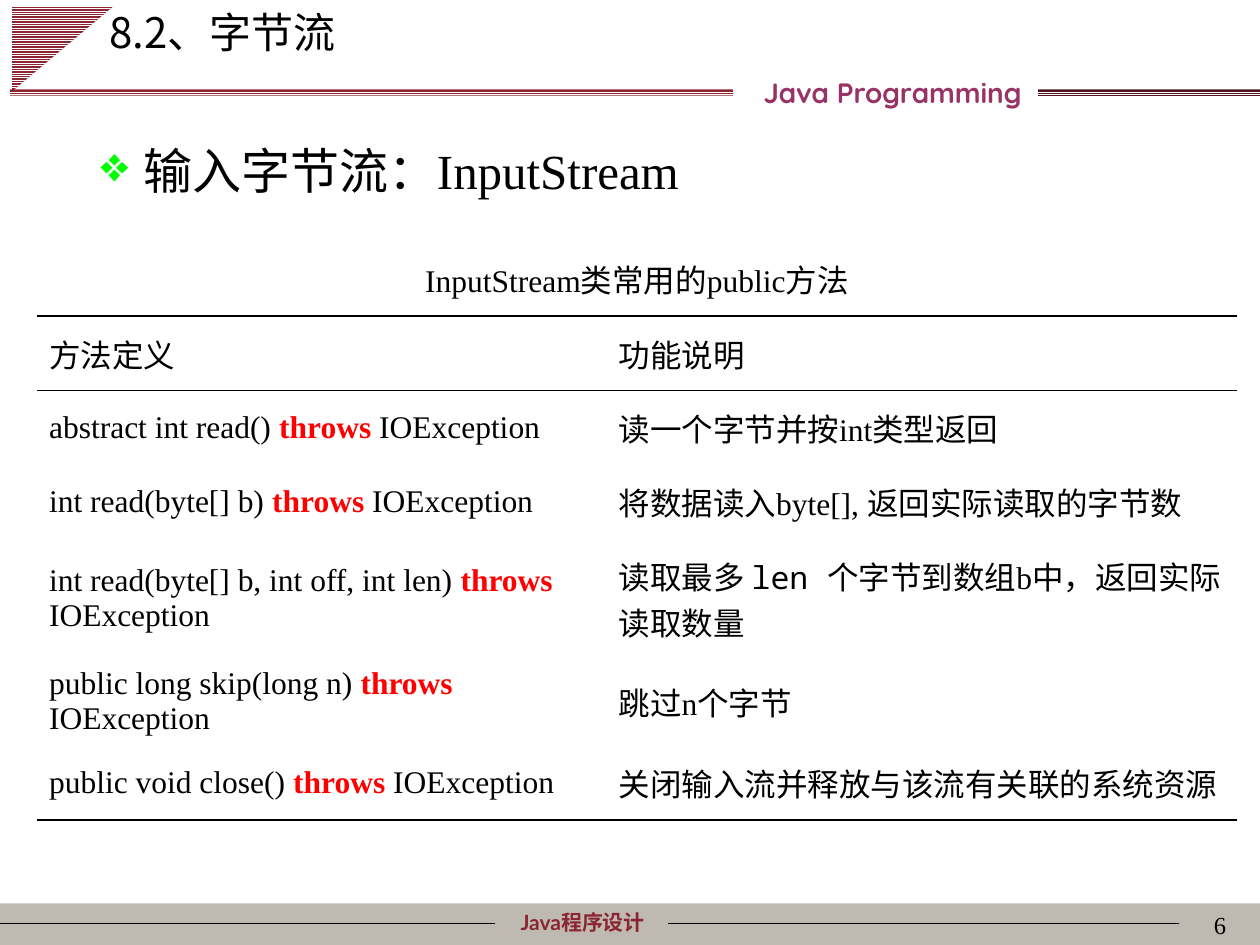
from lxml import etree
from pptx import Presentation
from pptx.dml.color import RGBColor
from pptx.enum.dml import MSO_PATTERN
from pptx.enum.shapes import MSO_CONNECTOR, MSO_SHAPE
from pptx.enum.text import MSO_ANCHOR, PP_ALIGN
from pptx.oxml.ns import qn
from pptx.util import Inches, Pt

LEFT, CENTER, RIGHT = PP_ALIGN.LEFT, PP_ALIGN.CENTER, PP_ALIGN.RIGHT
TOP, MIDDLE = MSO_ANCHOR.TOP, MSO_ANCHOR.MIDDLE
STRIPES = MSO_PATTERN.LIGHT_HORIZONTAL
BLACK = RGBColor(0x00, 0x00, 0x00)
WHITE = RGBColor(0xFF, 0xFF, 0xFF)
RED = RGBColor(0xFF, 0x00, 0x00)
PURPLE = RGBColor(0x99, 0x33, 0x66)
MAROON = RGBColor(0x8C, 0x25, 0x32)
DARK_MAROON = RGBColor(0x4C, 0x14, 0x1B)
FOOTER_GRAY = RGBColor(0xBF, 0xBA, 0xB1)
SERIF, CJK, MONO = "Times New Roman", "Noto Sans CJK SC", "Noto Sans Mono"


def add_run(p, text, size, font=SERIF, color=BLACK, bold=False):
    r = p.add_run()
    r.text = text
    r.font.size = Pt(size)
    r.font.name = font
    r.font.color.rgb = color
    r.font.bold = bold
    etree.SubElement(r.font._element, qn("a:ea"), typeface=CJK)


def add_text(box, text, size, font, color, bold=False, align=LEFT, anchor=TOP):
    """Add a one-paragraph text box at box (inches) and return the paragraph."""
    tf = s.shapes.add_textbox(*map(Inches, box)).text_frame
    tf.word_wrap = True
    tf.vertical_anchor = anchor
    p = tf.paragraphs[0]
    p.alignment = align
    add_run(p, text, size, font, color, bold)
    return p


prs = Presentation()
prs.slide_width, prs.slide_height = Inches(10), Inches(7.5)
s = prs.slides.add_slide(prs.slide_layouts[6])

# Footer band, corner triangle and header rules
for kind, box, color, striped, rotation in [
    (MSO_SHAPE.RECTANGLE, (0, 7.17, 10, 0.33), FOOTER_GRAY, False, 0),
    (MSO_SHAPE.RIGHT_TRIANGLE, (0.16, -0.02, 0.68, 0.81), MAROON, True, 90),
    (MSO_SHAPE.RECTANGLE, (8.24, 0.71, 1.76, 0.06), DARK_MAROON, True, 0),
    (MSO_SHAPE.RECTANGLE, (0.08, 0.71, 5.74, 0.05), MAROON, True, 0),
]:
    sp = s.shapes.add_shape(kind, *map(Inches, box))
    sp.shadow.inherit = False
    sp.rotation = rotation
    sp.line.fill.background()
    if striped:
        sp.fill.patterned()
        sp.fill.pattern = STRIPES
        sp.fill.fore_color.rgb = WHITE
        sp.fill.back_color.rgb = color
    else:
        sp.fill.solid()
        sp.fill.fore_color.rgb = color

for x1, x2 in [(0, 3.93), (5.3, 9.36)]:
    line = s.shapes.add_connector(MSO_CONNECTOR.STRAIGHT, Inches(x1), Inches(7.33),
                                  Inches(x2), Inches(7.33))
    line.line.color.rgb = BLACK
    line.line.width = Pt(0.75)
    etree.SubElement(line._element.spPr, qn("a:effectLst"))

add_text((3.62, 7.17, 2.01, 0.3), "Java程序设计", 12, "Lato", MAROON, True, CENTER)
add_text((5.08, 0.55, 4.01, 0.37), "Java Programming", 16, "Quicksand", PURPLE, True, CENTER)
add_text((7.75, 7.17, 2.08, 0.5), "6", 14, SERIF, BLACK, align=RIGHT)
add_text((0.77, 0, 8.5, 0.5), "8.2、字节流", 24, CJK, BLACK, anchor=MIDDLE)

p = add_text((0.7, 1.06, 5.37, 0.57), "输入字节流：InputStream", 28, SERIF, BLACK, anchor=MIDDLE)
pPr = p._p.get_or_add_pPr()
pPr.set("marL", str(Inches(0.34)))
pPr.set("indent", str(-Inches(0.34)))
bullet_color = etree.SubElement(pPr, qn("a:buClr"))
etree.SubElement(bullet_color, qn("a:srgbClr"), val="00FF00")
etree.SubElement(pPr, qn("a:buChar"), char="❖")

# Method table; "throws" is emphasised wherever it occurs
rows = [
    ("InputStream类常用的public方法", ""),
    ("方法定义", "功能说明"),
    ("abstract int read() throws IOException", "读一个字节并按int类型返回"),
    ("int read(byte[] b) throws IOException", "将数据读入byte[], 返回实际读取的字节数"),
    ("int read(byte[] b, int off, int len) throws IOException",
     "读取最多 len 个字节到数组b中，返回实际读取数量"),
    ("public long skip(long n) throws IOException", "跳过n个字节"),
    ("public void close() throws IOException", "关闭输入流并释放与该流有关联的系统资源"),
]
special = {"throws": (SERIF, RED, True), "len ": (MONO, BLACK, False)}
ruled_below = (0, 1, len(rows) - 1)

table = s.shapes.add_table(len(rows), 2, Inches(0.29), Inches(1.92),
                           Inches(9.53), Inches(4.48)).table
table.first_row = table.horz_banding = False
table.columns[0].width, table.columns[1].width = Inches(4.52), Inches(5.01)
for i, texts in enumerate(rows):
    table.rows[i].height = Inches(0.94 if i == 4 else 0.59)
    for j, text in enumerate(texts):
        cell = table.cell(i, j)
        cell.vertical_anchor = MIDDLE
        p = cell.text_frame.paragraphs[0]
        p.alignment = LEFT if i else CENTER
        word = "throws" if "throws" in text else "len "
        before, found, after = text.partition(word)
        for part in filter(None, (before, found, after)):
            add_run(p, part, 18, *special.get(part, (SERIF, BLACK, False)))

        tcPr = cell._tc.get_or_add_tcPr()
        ruled = {"lnT": i - 1 in ruled_below, "lnB": i in ruled_below}
        for edge in ("lnL", "lnR", "lnT", "lnB"):
            ln = etree.SubElement(tcPr, qn(f"a:{edge}"), w=str(Pt(1)))
            if ruled.get(edge):
                fill = etree.SubElement(ln, qn("a:solidFill"))
                etree.SubElement(fill, qn("a:srgbClr"), val=str(BLACK))
            else:
                etree.SubElement(ln, qn("a:noFill"))
        cell.fill.background()
table.cell(0, 0).merge(table.cell(0, 1))

prs.save("out.pptx")
